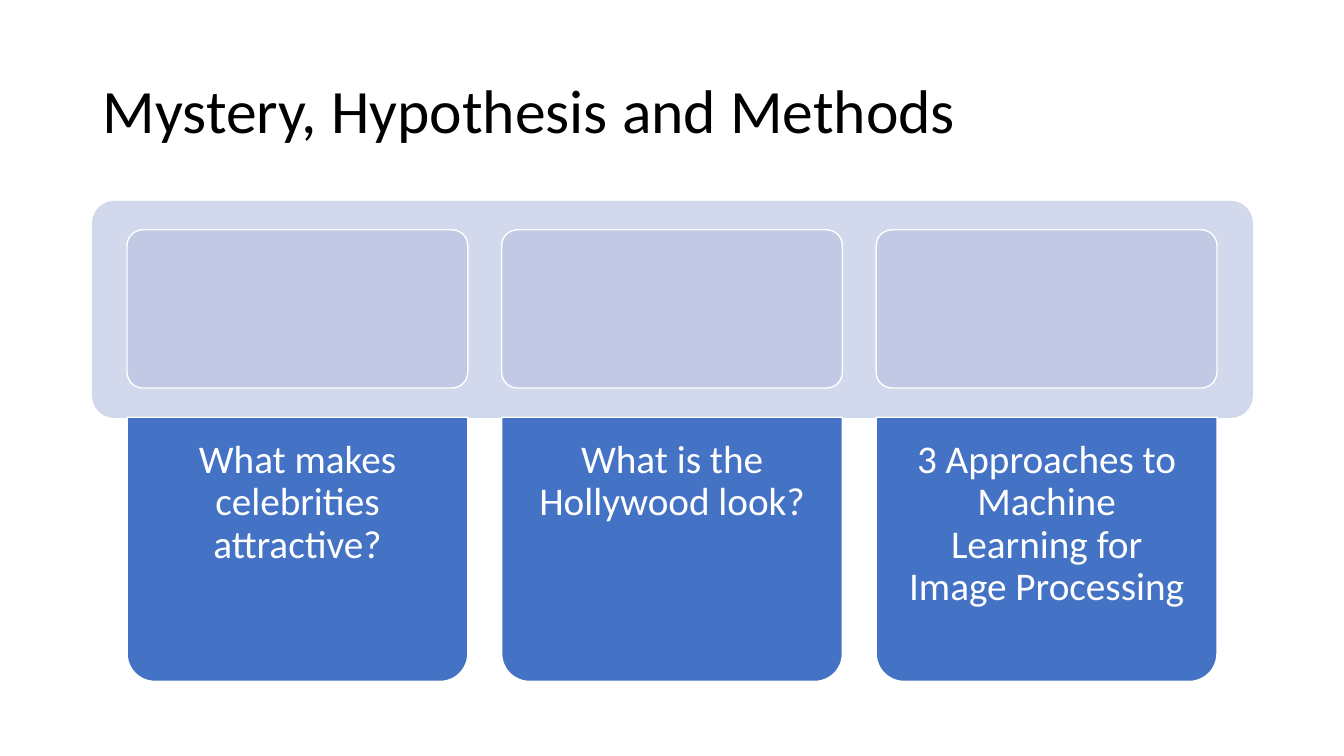
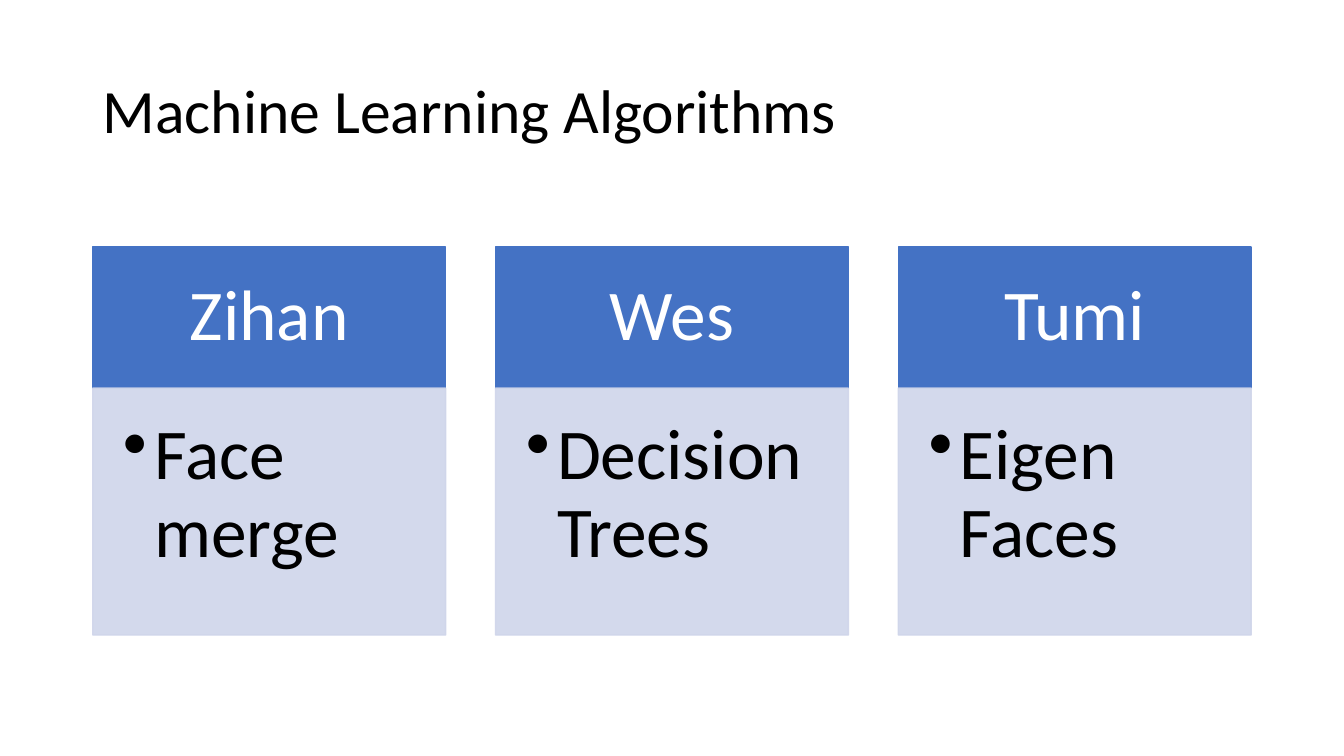
"""Builds two slides: three questions under a band, and three algorithm columns."""
import pptx
import pptx.dml.color
import pptx.enum.shapes
import pptx.enum.text
import pptx.oxml
import pptx.oxml.ns
import pptx.util

PX = 9144
FONT = "Calibri"
COLORS = {"blue": "4472C4", "pale": "CFD5EA", "panel": "C1C9E4", "white": "FFFFFF", "black": "000000"}
SHAPE = pptx.enum.shapes.MSO_SHAPE
ALIGN = pptx.enum.text.PP_ALIGN
ANCHOR = pptx.enum.text.MSO_ANCHOR

QUESTIONS = {
    "title": "Mystery, Hypothesis and Methods",
    "cards": [
        "What makes celebrities attractive?",
        "What is the Hollywood look?",
        "3 Approaches to Machine Learning for Image Processing",
    ],
}
ALGORITHMS = {
    "title": "Machine Learning Algorithms",
    "columns": [("Zihan", "Face merge"), ("Wes", "Decision Trees"), ("Tumi", "Eigen Faces")],
}


def px(length):
    return round(length * PX)


def rgb(name):
    return pptx.dml.color.RGBColor.from_string(COLORS[name])


def spread(left, span, width, count):
    """Return the left edges of equal items that fill a span."""
    pitch = (span - width) / (count - 1)
    return [left + index * pitch for index in range(count)]


def add_box(page, kind, place, fill, line, alpha=None, adjustments=()):
    box = page.shapes.add_shape(kind, *map(px, place))
    box.shadow.inherit = False
    box.fill.solid()
    box.fill.fore_color.rgb = rgb(fill)
    box.line.color.rgb = rgb(line)
    box.line.width = pptx.util.Pt(1)
    for index, value in enumerate(adjustments):
        box.adjustments[index] = value
    if alpha:
        for color in box._element.spPr.iter(pptx.oxml.ns.qn("a:srgbClr")):
            opacity = pptx.oxml.parse_xml(f'<a:alpha {pptx.oxml.ns.nsdecls("a")} val="{alpha * 1000}"/>')
            color.append(opacity)
    return box


def write(box, text, size, color="white", align=ALIGN.LEFT, anchor=ANCHOR.TOP, insets=(10, 5, 10, 5), hang=0):
    frame = box.text_frame
    frame.word_wrap = True
    frame.vertical_anchor = anchor
    frame.margin_left, frame.margin_top, frame.margin_right, frame.margin_bottom = map(px, insets)
    para = frame.paragraphs[0]
    para.alignment = align
    para.line_spacing = 0.9
    span = para.add_run()
    span.text = text
    span.font.name = FONT
    span.font.size = pptx.util.Pt(size)
    span.font.color.rgb = rgb(color)
    if hang:
        props = para._p.get_or_add_pPr()
        props.set("marL", str(px(hang)))
        props.set("indent", str(-px(hang)))
        props.append(pptx.oxml.parse_xml(f'<a:buChar {pptx.oxml.ns.nsdecls("a")} char="•"/>'))


def add_page(deck, title):
    page = deck.slides.add_slide(deck.slide_layouts[6])
    box = page.shapes.add_textbox(*map(px, (92, 40, 1150, 145)))
    write(box, title, 44, color="black", anchor=ANCHOR.MIDDLE)
    return page


def build_questions(deck):
    page = add_page(deck, QUESTIONS["title"])
    width, top, pad = 338, 414, 8
    add_box(page, SHAPE.ROUNDED_RECTANGLE, (92, 200, 1150, 214), "pale", "pale", alpha=90, adjustments=[0.1])
    cards = QUESTIONS["cards"]
    for left, question in zip(spread(126, 1081, width, len(cards)), cards):
        add_box(page, SHAPE.ROUNDED_RECTANGLE, (left, 228, width, 157), "panel", "white", adjustments=[0.1])
        card = add_box(page, SHAPE.ROUND_2_SAME_RECTANGLE, (left, top, width, 262), "blue", "white",
                       adjustments=[0.105, 0])
        card.rotation = 180
        label = page.shapes.add_textbox(*map(px, (left + pad, top, width - 2 * pad, 254)))
        write(label, question, 28, align=ALIGN.CENTER, insets=(22, 22, 22, 22))


def build_algorithms(deck):
    page = add_page(deck, ALGORITHMS["title"])
    width, top, head_height = 350, 245, 140
    columns = ALGORITHMS["columns"]
    for left, (name, method) in zip(spread(92, 1149, width, len(columns)), columns):
        head = add_box(page, SHAPE.RECTANGLE, (left, top, width, head_height), "blue", "blue")
        write(head, name, 51, align=ALIGN.CENTER, anchor=ANCHOR.MIDDLE, insets=(40, 23, 40, 23))
        body = add_box(page, SHAPE.RECTANGLE, (left, top + head_height, width, 245), "pale", "pale", alpha=90)
        write(body, method, 51, color="black", insets=(30, 30, 40, 45), hang=31)


def main():
    deck = pptx.Presentation()
    deck.slide_width, deck.slide_height = px(1333), px(750)
    build_questions(deck)
    build_algorithms(deck)
    deck.save("out.pptx")


if __name__ == "__main__":
    main()
